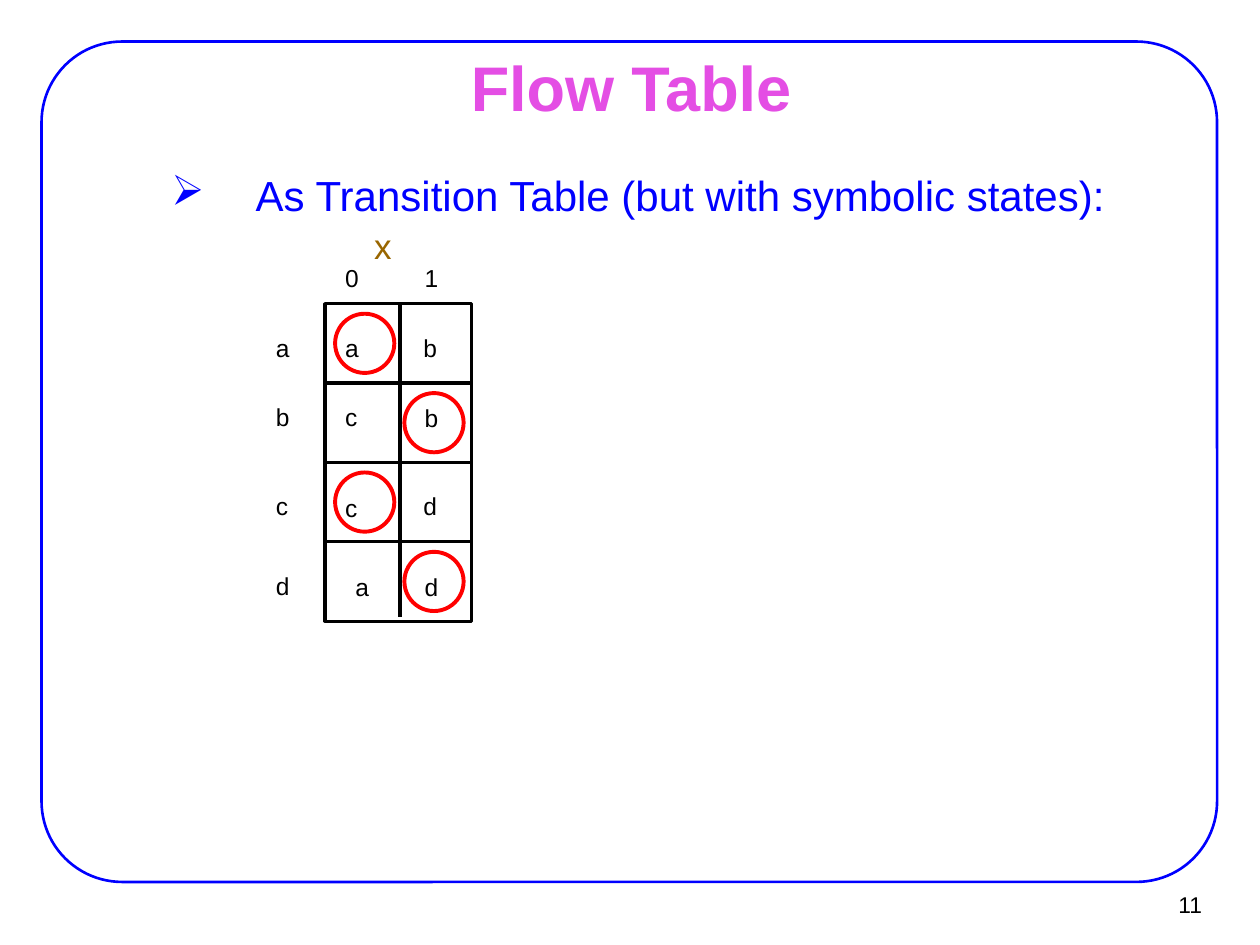
"""Build the flow table slide with symbolic states."""
from dataclasses import dataclass

from lxml import etree
from pptx import Presentation
from pptx.dml.color import RGBColor
from pptx.enum.shapes import MSO_CONNECTOR, MSO_SHAPE
from pptx.enum.text import MSO_ANCHOR, PP_ALIGN
from pptx.oxml.ns import qn
from pptx.util import Inches, Pt

ROUNDED = MSO_SHAPE.ROUNDED_RECTANGLE
RECTANGLE = MSO_SHAPE.RECTANGLE
OVAL = MSO_SHAPE.OVAL
STRAIGHT = MSO_CONNECTOR.STRAIGHT
TOP, MIDDLE = MSO_ANCHOR.TOP, MSO_ANCHOR.MIDDLE
LEFT, CENTER, RIGHT = PP_ALIGN.LEFT, PP_ALIGN.CENTER, PP_ALIGN.RIGHT

BLACK, BLUE, RED, PINK, BROWN = "000000", "0000FF", "FF0000", "E44EE4", "996600"
GRID_LEFT, GRID_TOP, GRID_WIDTH, ROW_HEIGHT, ROWS = 2.58, 2.41, 1.16, 0.63, 4
GRID_MIDDLE = 3.175
CIRCLE_SIZE = 0.47
CIRCLE_LEFTS = (2.66, 3.21)
STABLE_COLUMNS = (0, 1, 0, 1)


@dataclass
class Label:
    """A text with its place and look."""
    text: str
    left: float
    top: float
    width: float = 0.16
    height: float = 0.23
    size: float = 14
    color: str = BLACK
    bold: bool = False
    align: PP_ALIGN = LEFT
    anchor: MSO_ANCHOR = TOP
    inset_x: float = 0
    inset_y: float = 0


LABELS = [
    Label("11", 9.02, 6.99, 0.61, 0.37, 13, align=RIGHT, anchor=MIDDLE,
          inset_x=0.09, inset_y=0.04),
    Label("Flow Table", 0.76, 0.44, 8.5, 0.49, 36, PINK, True, CENTER, MIDDLE,
          0.11, 0.06),
    Label("x", 2.97, 1.78, 0.19, 0.33, 20, BROWN),
    Label("0", 2.74, 2.09), Label("1", 3.37, 2.09),
    Label("a", 2.19, 2.64), Label("a", 2.74, 2.64), Label("b", 3.36, 2.64),
    Label("b", 2.19, 3.19), Label("c", 2.74, 3.19), Label("b", 3.37, 3.2),
    Label("c", 2.19, 3.9), Label("c", 2.74, 3.91), Label("d", 3.36, 3.9),
    Label("d", 2.19, 4.53), Label("a", 2.82, 4.54), Label("d", 3.37, 4.54),
]
STATEMENT = Label("As Transition Table (but with symbolic states):",
                  0.75, 1.33, 8.5, 0.68, 24, BLUE, inset_x=0.11, inset_y=0.06)


def rgb(color: str) -> RGBColor:
    """Turn a hex string into a colour."""
    return RGBColor.from_string(color)


def add_outline(page, kind, left: float, top: float, width: float,
                height: float, color: str, weight: float):
    """Add an unfilled preset shape."""
    shape = page.shapes.add_shape(kind, Inches(left), Inches(top),
                                  Inches(width), Inches(height))
    shape.shadow.inherit = False
    shape.fill.background()
    shape.line.color.rgb = rgb(color)
    shape.line.width = Pt(weight)
    return shape


def add_rule(page, start_x: float, start_y: float, end_x: float, end_y: float):
    """Add one black grid line."""
    rule = page.shapes.add_connector(STRAIGHT, Inches(start_x), Inches(start_y),
                                     Inches(end_x), Inches(end_y))
    rule.line.color.rgb = rgb(BLACK)
    rule.line.width = Pt(1.75)
    etree.SubElement(rule.element.spPr, qn("a:effectLst"))


def add_label(page, label: Label):
    """Add a text box and return its paragraph."""
    box = page.shapes.add_textbox(Inches(label.left), Inches(label.top),
                                  Inches(label.width), Inches(label.height))
    frame = box.text_frame
    frame.word_wrap = True
    frame.vertical_anchor = label.anchor
    frame.margin_left = frame.margin_right = Inches(label.inset_x)
    frame.margin_top = frame.margin_bottom = Inches(label.inset_y)
    para = frame.paragraphs[0]
    para.alignment = label.align
    span = para.add_run()
    span.text = label.text
    span.font.name = "Arial"
    span.font.size = Pt(label.size)
    span.font.bold = label.bold
    span.font.color.rgb = rgb(label.color)
    return para


def add_bullet(para, mark: str, margin: float, indent: float) -> None:
    """Give a paragraph a hanging bullet."""
    properties = para._p.get_or_add_pPr()
    properties.set("marL", str(Inches(margin)))
    properties.set("indent", str(Inches(indent)))
    etree.SubElement(properties, qn("a:buChar")).set("char", mark)


def add_grid(page) -> None:
    """Draw the table frame, its inner lines and the stable-state circles."""
    bottom = GRID_TOP + ROWS * ROW_HEIGHT
    add_outline(page, RECTANGLE, GRID_LEFT, GRID_TOP, GRID_WIDTH,
                ROWS * ROW_HEIGHT, BLACK, 1.75)
    add_rule(page, GRID_MIDDLE, GRID_TOP, GRID_MIDDLE, bottom - 0.03)
    for row in range(1, ROWS):
        height = GRID_TOP + row * ROW_HEIGHT
        add_rule(page, GRID_LEFT, height, GRID_LEFT + GRID_WIDTH, height)
    for row, column in enumerate(STABLE_COLUMNS):
        add_outline(page, OVAL, CIRCLE_LEFTS[column],
                    GRID_TOP + row * ROW_HEIGHT + 0.08,
                    CIRCLE_SIZE, CIRCLE_SIZE, RED, 2.25)


def main() -> None:
    """Build and save the deck."""
    deck = Presentation()
    deck.slide_width, deck.slide_height = Inches(10), Inches(7.5)
    page = deck.slides.add_slide(deck.slide_layouts[6])
    border = add_outline(page, ROUNDED, 0.33, 0.33, 9.33, 6.67, BLUE, 1.5)
    border.adjustments[0] = 0.096
    statement = add_label(page, STATEMENT)
    statement.line_spacing = 0.9
    statement.space_before = Pt(4.8)
    add_bullet(statement, "\u27a2", 1.17, -0.67)
    add_grid(page)
    for label in LABELS:
        add_label(page, label)
    deck.save("out.pptx")


main()
